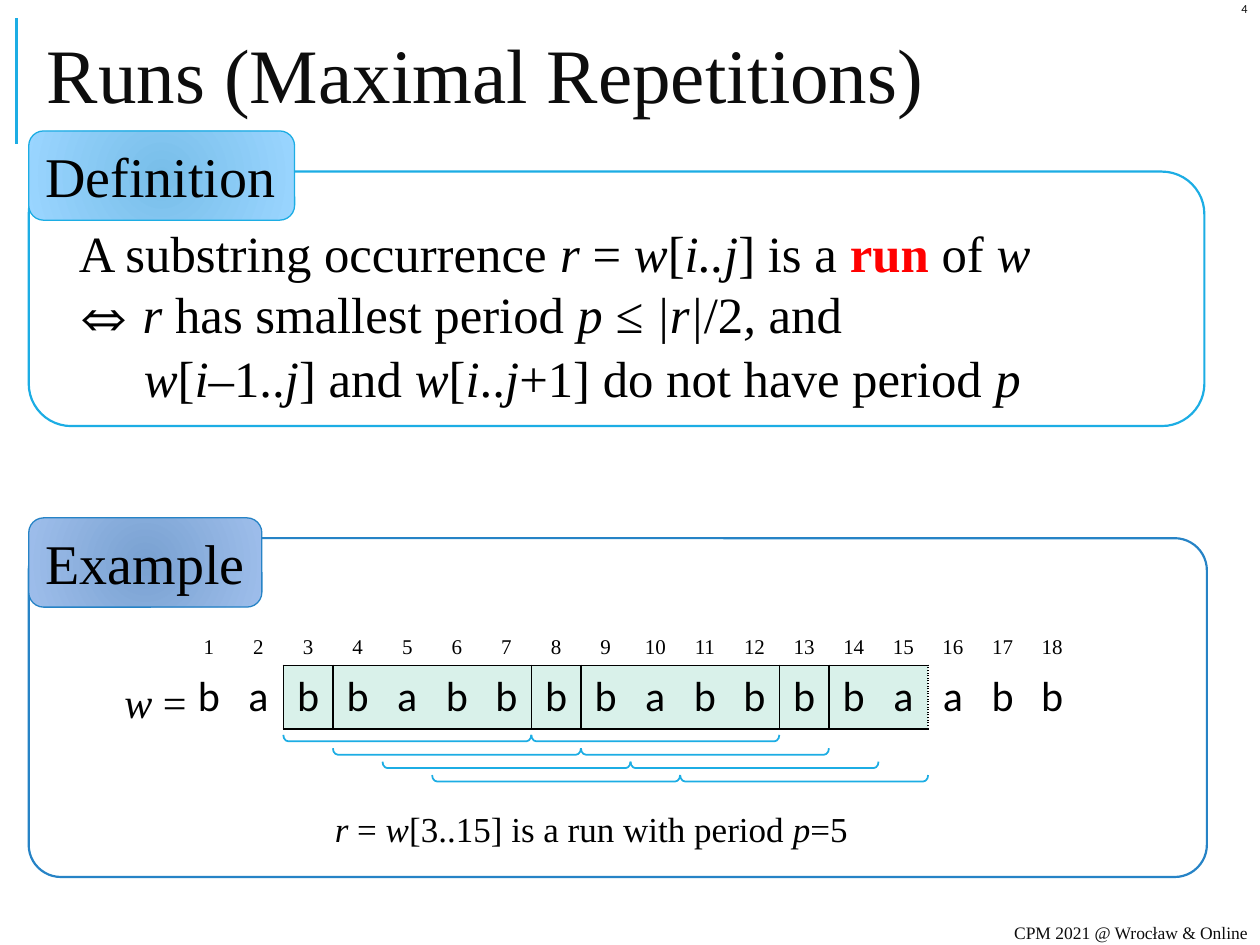
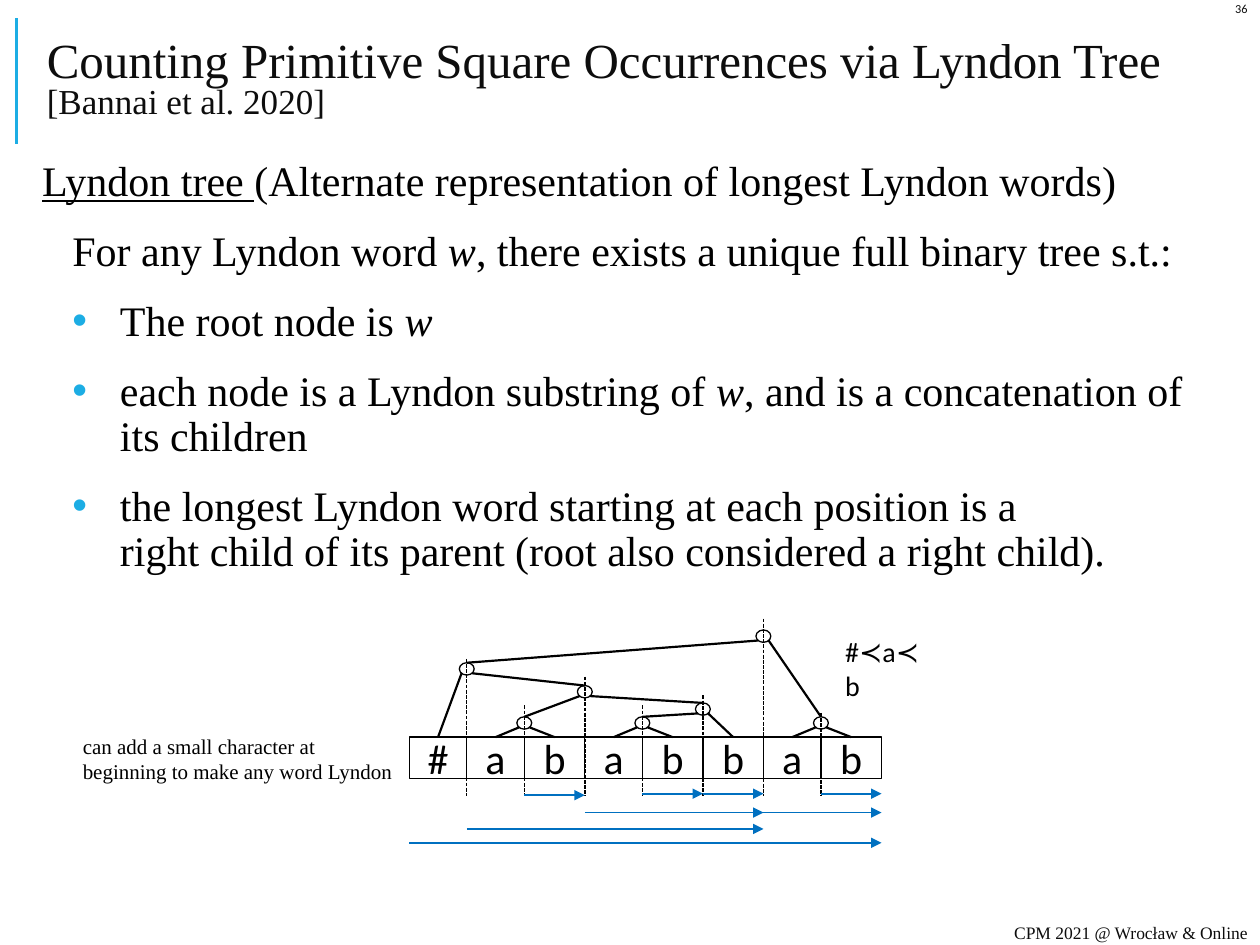
from dataclasses import dataclass
from itertools import accumulate

from lxml.etree import SubElement
from pptx import Presentation
from pptx.dml.color import RGBColor
from pptx.enum.dml import MSO_LINE
from pptx.enum.shapes import MSO_CONNECTOR, MSO_SHAPE
from pptx.enum.text import MSO_ANCHOR, MSO_AUTO_SIZE, PP_ALIGN
from pptx.oxml.ns import qn
from pptx.util import Cm, Pt

BLACK = RGBColor(0x00, 0x00, 0x00)
WHITE = RGBColor(0xFF, 0xFF, 0xFF)
INK = RGBColor(0x0D, 0x0D, 0x0D)
RED = RGBColor(0xFF, 0x00, 0x00)
CYAN = RGBColor(0x1C, 0xAD, 0xE4)
CYAN_TAB = (RGBColor(0x78, 0xBE, 0xE9), RGBColor(0x9A, 0xD5, 0xFF))
BLUE = RGBColor(0x26, 0x83, 0xC6)
BLUE_TAB = (RGBColor(0x79, 0xA1, 0xD1), RGBColor(0x9E, 0xBE, 0xEB))
ARROW_BLUE = RGBColor(0x00, 0x70, 0xC0)
MINT = RGBColor(0xD9, 0xF1, 0xEA)

SERIF, SANS, SYMBOL = "Times New Roman", "Calibri", "TeX Gyre Pagella"
ITALIC, UNDERLINE = {"italic": True}, {"underline": True}
NO_STYLE_TABLE = "{2D5ABB26-0587-4C30-8999-92F81FD0307C}"
CELL_SIDES = {"l": "a:lnL", "r": "a:lnR", "t": "a:lnT", "b": "a:lnB"}


@dataclass
class Box:
    """A rectangle in centimetres."""
    left: float
    top: float
    width: float
    height: float

    def place(self):
        """Return the four lengths that shape methods expect."""
        return Cm(self.left), Cm(self.top), Cm(self.width), Cm(self.height)

    def within(self, left, top, width, height):
        """Return a box whose corner is measured from this one."""
        return Box(self.left + left, self.top + top, width, height)


def write(para, pieces, size, color=BLACK, name=SERIF):
    """Append pieces to a paragraph: plain strings, or (text, font settings)."""
    for piece in pieces:
        if piece == "\n":
            para.add_line_break()
            continue
        text, settings = (piece, {}) if isinstance(piece, str) else piece
        span = para.add_run()
        span.text = text
        font = span.font
        font.size, font.name = Pt(size), name
        font.color.rgb = color
        for key, value in settings.items():
            if key == "color":
                font.color.rgb = value
            else:
                setattr(font, key, value)


def indent(para, margin, first=0):
    """Set the left margin and first-line indent of a paragraph."""
    properties = para._p.get_or_add_pPr()
    properties.set("marL", str(Cm(margin)))
    properties.set("indent", str(Cm(first)))


def add_bullet(para, color):
    """Give a paragraph a coloured round bullet."""
    properties = para._p.get_or_add_pPr()
    fill = SubElement(SubElement(properties, qn("a:buClr")), qn("a:srgbClr"))
    fill.set("val", str(color))
    SubElement(properties, qn("a:buFont")).set("typeface", "Arial")
    SubElement(properties, qn("a:buChar")).set("char", "•")


def add_text(page, box, lines, size, color=BLACK, name=SERIF, wrap=False,
             anchor=MSO_ANCHOR.TOP, align=PP_ALIGN.LEFT):
    """Add a text box with one paragraph per line of pieces."""
    frame = page.shapes.add_textbox(*box.place()).text_frame
    frame.word_wrap, frame.vertical_anchor = wrap, anchor
    for index, pieces in enumerate(lines):
        para = frame.add_paragraph() if index else frame.paragraphs[0]
        para.alignment = align
        write(para, pieces, size, color, name)


def add_figure(page, kind, box, color, width, fill=None):
    """Add an outlined preset shape, unfilled unless a fill is given."""
    figure = page.shapes.add_shape(kind, *box.place())
    figure.shadow.inherit = False
    figure.line.color.rgb, figure.line.width = color, Pt(width)
    if fill is None:
        figure.fill.background()
    else:
        figure.fill.solid()
        figure.fill.fore_color.rgb = fill
    return figure


def add_line(page, start, end, color, width, dash=None, arrow=False):
    """Add a straight connector between two points in centimetres."""
    line = page.shapes.add_connector(
        MSO_CONNECTOR.STRAIGHT, *(Cm(value) for value in (*start, *end)))
    line.line.color.rgb, line.line.width = color, Pt(width)
    if dash:
        line.line.dash_style = dash
    if arrow:
        SubElement(line.line._get_or_add_ln(), qn("a:tailEnd")).set("type", "triangle")
    SubElement(line.element.spPr, qn("a:effectLst"))
    return line


def start_page(deck, number, title_lines):
    """Add a slide with its title, side rule, footer and number."""
    page = deck.slides.add_slide(deck.slide_layouts[5])
    add_line(page, (0.33, 2.9), (0.33, 0.36), CYAN, 1.5)
    title = page.shapes.title
    title.left, title.top, title.width, title.height = Box(0.69, 0.36, 24, 2.54).place()
    frame = title.text_frame
    frame.vertical_anchor, frame.auto_size = MSO_ANCHOR.MIDDLE, MSO_AUTO_SIZE.NONE
    for index, (text, size) in enumerate(title_lines):
        para = frame.add_paragraph() if index else frame.paragraphs[0]
        para.alignment, para.line_spacing = PP_ALIGN.LEFT, 0.8
        para.space_before = Pt(0)
        write(para, [text], size, INK)
    for box, text, size, name in (
            (Box(18.47, 18.54, 6.93, 0.5), "CPM 2021 @ Wrocław & Online", 10, SERIF),
            (Box(24.59, 0, 0.81, 0.36), str(number), 7, SANS)):
        add_text(page, box, [[text]], size, INK, name, True,
                 MSO_ANCHOR.MIDDLE, PP_ALIGN.RIGHT)
    return page


def add_tab(page, box, text, line, shades):
    """Add the gradient label that sits on a panel's top left corner."""
    tab = add_figure(page, MSO_SHAPE.ROUNDED_RECTANGLE, box, line, 0.75)
    tab.fill.gradient()
    for stop, shade in zip(tab.fill.gradient_stops, shades):
        stop.color.rgb = shade
    gradient = tab.element.spPr.find(qn("a:gradFill"))
    gradient.remove(gradient.find(qn("a:lin")))
    circle = SubElement(gradient, qn("a:path"))
    circle.set("path", "circle")
    focus = SubElement(circle, qn("a:fillToRect"))
    for side in "ltrb":
        focus.set(side, "100000")
    frame = tab.text_frame
    frame.word_wrap, frame.vertical_anchor = False, MSO_ANCHOR.MIDDLE
    frame.paragraphs[0].alignment = PP_ALIGN.LEFT
    write(frame.paragraphs[0], [text], 32)


def add_definition(page, box):
    """Add the definition panel."""
    panel = add_figure(page, MSO_SHAPE.ROUNDED_RECTANGLE, box, CYAN, 1.25, WHITE)
    frame = panel.text_frame
    frame.word_wrap, frame.vertical_anchor = True, MSO_ANCHOR.BOTTOM
    lines = (
        (0.51, ["A substring occurrence", (" r ", ITALIC), "= ", ("w", ITALIC), "[",
                ("i..j", ITALIC), "] is a ", ("run", {"bold": True, "color": RED}),
                " of", (" w", ITALIC)]),
        (0.51, [("⇔ ", {"name": SYMBOL}), ("r", ITALIC), " has smallest period ",
                ("p ≤ |r|", ITALIC), "/2", (",", ITALIC), " and"]),
        (1.82, [("w", ITALIC), "[", ("i", ITALIC), "–1..", ("j", ITALIC), "] and",
                (" w", ITALIC), "[", ("i", ITALIC), "..", ("j", ITALIC),
                "+1] do not have period ", ("p", ITALIC)]))
    for index, (margin, pieces) in enumerate(lines):
        para = frame.add_paragraph() if index else frame.paragraphs[0]
        para.alignment = PP_ALIGN.LEFT
        indent(para, margin)
        if index == 2:
            para.space_before = Pt(1.5)
        write(para, pieces, 29)
    add_tab(page, box.within(0, -0.82, 5.36, 1.8), "Definition", CYAN, CYAN_TAB)


def set_borders(cell, borders):
    """Draw black cell borders, given as a side-to-dash mapping."""
    properties = cell._tc.get_or_add_tcPr()
    for position, side in enumerate(side for side in CELL_SIDES if side in borders):
        line = SubElement(properties, qn(CELL_SIDES[side]))
        line.set("w", str(Pt(1)))
        fill = SubElement(SubElement(line, qn("a:solidFill")), qn("a:srgbClr"))
        fill.set("val", str(BLACK))
        SubElement(line, qn("a:prstDash")).set("val", borders[side])
        properties.insert(position, line)


def add_word_table(page, box, word, run, period):
    """Add the numbered letters of a word, with one run boxed by period."""
    first, last = run
    holder = page.shapes.add_table(2, len(word), *box.place())
    table = holder.table
    table.first_row = table.horz_banding = False
    holder.element.find(".//" + qn("a:tableStyleId")).text = NO_STYLE_TABLE
    for row, height in zip(table.rows, (0.76, 1.28)):
        row.height = Cm(height)
    for position, letter in enumerate(word, 1):
        table.columns[position - 1].width = Cm(box.width / len(word))
        in_run = first <= position <= last
        for row, (text, size, name) in enumerate(
                ((str(position), 12, SERIF), (letter, 24, SANS))):
            cell = table.cell(row, position - 1)
            cell.vertical_anchor = MSO_ANCHOR.TOP if row else MSO_ANCHOR.BOTTOM
            cell.fill.background()
            para = cell.text_frame.paragraphs[0]
            para.alignment = PP_ALIGN.CENTER
            write(para, [text], size, BLACK, name)
            if row and in_run:
                cell.fill.solid()
                cell.fill.fore_color.rgb = MINT
        if in_run:
            borders = {"t": "solid", "b": "solid"}
            if (position - first) % period == 0:
                borders["l"] = "solid"
            if (position - first) % period == period - 1:
                borders["r"] = "solid"
            if position == last:
                borders["r"] = "sysDot"
            set_borders(cell, borders)


def add_example(page, box):
    """Add the example panel: a word, its run and the squares inside it."""
    panel = add_figure(page, MSO_SHAPE.ROUNDED_RECTANGLE, box, BLUE, 1.25)
    panel.adjustments[0] = 0.095
    add_tab(page, box.within(0, -0.41, 4.7, 1.8), "Example", BLUE, BLUE_TAB)
    step, first, last, period = 1.0, 3, 15, 5
    word = "babbabbbbabbbbaabb"
    letters = box.within(3.13, 1.8, step * len(word), 2.04)
    add_word_table(page, letters, word, (first, last), period)
    depth, length = 0.13, period * step
    for shift in range(last - first + 2 - 2 * period):
        for half in range(2):
            center = (first - 1 + shift) * step + (half + 0.5) * length
            brace = add_figure(
                page, MSO_SHAPE.RIGHT_BRACKET,
                letters.within(center - depth / 2, 2.23 + 0.27 * shift - length / 2,
                               depth, length), CYAN, 1)
            brace.rotation = 90
            brace.adjustments[0] = 0.77
    add_text(page, box.within(1.68, 2.67, 1.85, 1.27), [[("w", ITALIC), " ="]], 24)
    add_text(page, box.within(5.92, 5.31, 10.92, 1.12),
             [[("r", ITALIC), " = ", ("w", ITALIC), "[3..15] is a run with period ",
               ("p", ITALIC), "=5"]], 20)


def add_tree_rules(page, box):
    """Add the statement of the Lyndon tree and its bulleted properties."""
    frame = page.shapes.add_textbox(*box.place()).text_frame
    frame.word_wrap = True
    frame.margin_left = frame.margin_right = frame.margin_top = Cm(0.13)
    lines = (
        (0.64, -0.61, [("Lyndon tree ", UNDERLINE),
                       "(Alternate representation of longest Lyndon words)"]),
        (0.64, 0, ["For any Lyndon word ", ("w", ITALIC),
                   ", there exists a unique full binary tree s.t.:"]),
        (1.6, -0.96, ["The root node is ", ("w", ITALIC)]),
        (1.6, -0.96, ["each node is a Lyndon substring of ", ("w", ITALIC),
                      ", and is a concatenation of its children"]),
        (1.6, -0.96, ["the longest Lyndon word starting at each position is a ", "\n",
                      "right child of its parent (root also considered a right child)."]))
    for index, (margin, first, pieces) in enumerate(lines):
        para = frame.add_paragraph() if index else frame.paragraphs[0]
        para.line_spacing, para.space_after = 0.9, Pt(2)
        para.space_before = Pt(12 if index else 0)
        indent(para, margin, first)
        if index >= 2:
            add_bullet(para, CYAN)
        write(para, pieces, 24)


def add_lyndon_tree(page, box):
    """Add the Lyndon tree of a word, with its longest Lyndon words as arrows."""
    word, widths = "#ababbab", {"#": 1.16, "a": 1.16, "b": 1.22}
    edges = list(accumulate((widths[letter] for letter in word), initial=box.left))
    cells, nodes = [], {}
    for letter, left in zip(word, edges):
        cell = add_figure(page, MSO_SHAPE.RECTANGLE,
                          Box(left, box.top + 2.39, widths[letter], 0.84), BLACK, 0.75)
        frame = cell.text_frame
        frame.word_wrap, frame.vertical_anchor = False, MSO_ANCHOR.MIDDLE
        frame.margin_top = frame.margin_bottom = 0
        frame.paragraphs[0].alignment = PP_ALIGN.CENTER
        write(frame.paragraphs[0], [letter], 24, BLACK, SANS)
        cells.append(cell)
    wide, high = 0.3, 0.25
    node_tops = {1: 0.89, 2: 1.98, 3: 1.35, 4: 1.98, 5: 1.7, 6: 0.23, 7: 1.98}
    dash_tops = {1: 0.81, 2: 1.75, 3: 1.17, 4: 1.75, 5: 1.55, 6: 0, 7: 1.9}
    for edge, top in node_tops.items():
        nodes[edge] = add_figure(
            page, MSO_SHAPE.OVAL,
            Box(edges[edge] - wide / 2, box.top + top, wide, high), BLACK, 0.75, WHITE)
    for edge, top in dash_tops.items():
        add_line(page, (edges[edge], box.top + top), (edges[edge], box.top + 3.58),
                 BLACK, 0.75, MSO_LINE.SQUARE_DOT)
    children = {1: (cells[0], nodes[3]), 2: (cells[1], cells[2]),
                3: (nodes[2], nodes[5]), 4: (cells[3], cells[4]),
                5: (nodes[4], cells[5]), 6: (nodes[1], nodes[7]),
                7: (cells[6], cells[7])}
    for parent, pair in children.items():
        for side, child in zip((-1, 1), pair):
            foot = (edges[parent] + side * 0.35 * wide,
                    box.top + node_tops[parent] + 0.85 * high)
            add_line(page, foot, foot, BLACK, 1.25).end_connect(child, 0)
    for start, end, top in ((0, 8, 4.52), (1, 6, 4.24), (2, 3, 3.56), (4, 5, 3.53),
                            (7, 8, 3.53), (3, 6, 3.91), (6, 8, 3.91), (5, 6, 3.53)):
        add_line(page, (edges[start], box.top + top), (edges[end], box.top + top),
                 ARROW_BLUE, 1, arrow=True)
    add_text(page, box.within(8.54, 0.2, 2.1, 0.94), [["#≺a≺b"]], 16, BLACK, SANS, True)
    add_text(page, box.within(-6.83, 2.19, 6.83, 1.27),
             [["can add a small character at"], ["beginning to make any word Lyndon"]], 12)


def main():
    """Build both slides and save the deck."""
    deck = Presentation()
    deck.slide_width, deck.slide_height = Cm(25.4), Cm(19.05)
    page = start_page(deck, 4, [("Runs (Maximal Repetitions)", 44)])
    add_definition(page, Box(0.58, 3.46, 23.7, 5.13))
    add_example(page, Box(0.58, 10.85, 23.75, 6.83))
    page = start_page(deck, 36, [
        ("Counting Primitive Square Occurrences via Lyndon Tree", 28),
        ("[Bannai et al. 2020]", 20)])
    add_tree_rules(page, Box(0.69, 3.1, 24, 14.88))
    add_lyndon_tree(page, Box(8.25, 12.47, 9.52, 4.52))
    deck.save("out.pptx")


if __name__ == "__main__":
    main()
